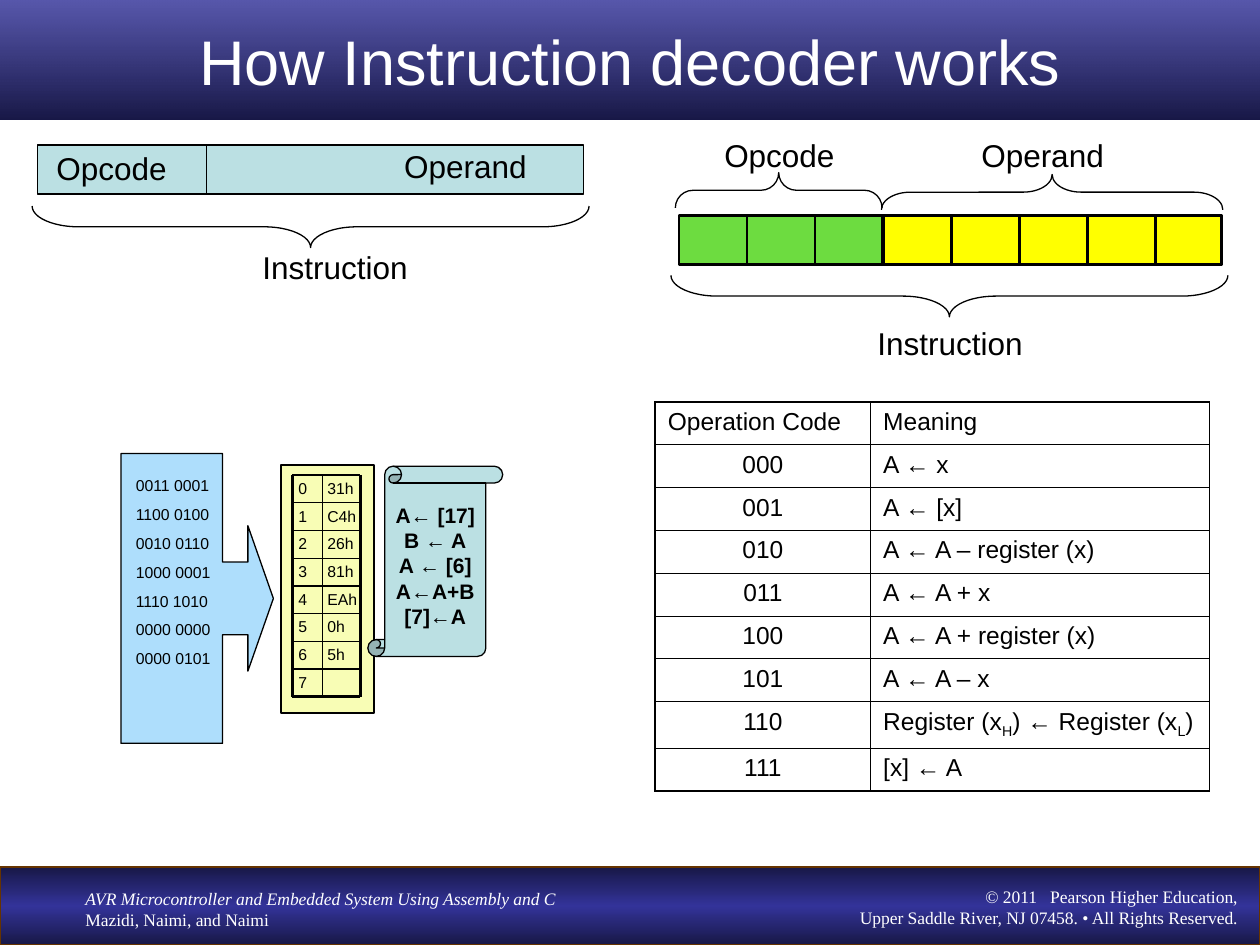
"""Build the slide that explains how an instruction decoder works."""
from lxml import etree
from pptx import Presentation
from pptx import util as u
from pptx.dml.color import RGBColor
from pptx.enum import shapes, text
from pptx.oxml.ns import qn

SHAPE = shapes.MSO_SHAPE
LEFT, CENTER, RIGHT = text.PP_ALIGN.LEFT, text.PP_ALIGN.CENTER, text.PP_ALIGN.RIGHT
MIDDLE = text.MSO_ANCHOR.MIDDLE
BLACK, WHITE = "000000", "FFFFFF"
SERIF = {"name": "Times New Roman"}

TITLE = "How Instruction decoder works"
BOOK = "AVR Microcontroller and Embedded System Using Assembly and C"
AUTHORS = "Mazidi, Naimi, and Naimi"
COPYRIGHT = "© 2011   Pearson Higher Education,\vUpper Saddle River, NJ 07458. • All Rights Reserved."
BAR_STOPS = [(0, "181847", 100), (50, "333399", 100), (100, "181847", 100)]
TITLE_STOPS = [(0, "333399", 82), (100, "181847", 100)]

LABELS = [
    ("Opcode", 0.35, 1.13, 1.24, LEFT),
    ("Operand", 3.11, 1.12, 1.24, LEFT),
    ("Instruction", 1.41, 1.92, 2.5, CENTER),
    ("Opcode", 5.65, 1.03, 1.24, LEFT),
    ("Operand", 7.69, 1.03, 1.24, LEFT),
    ("Instruction", 6.29, 2.52, 2.5, CENTER),
]
BRACES = [
    ((2.3, -0.41, 0.33, 4.42), 270, 1.12),
    ((7.37, 0.14, 0.33, 4.42), 270, 1.12),
    ((6.04, 0.69, 0.28, 1.64), 90, 0.5),
    ((8.21, 0.17, 0.28, 2.71), 90, 0.82),
]
OPERATIONS = [
    ("Operation Code", "Meaning"),
    ("000", "A ← x"),
    ("001", "A ← [x]"),
    ("010", "A ← A – register (x)"),
    ("011", "A ← A + x"),
    ("100", "A ← A + register (x)"),
    ("101", "A ← A – x"),
    ("110", "Register (x_H) ← Register (x_L)"),
    ("111", "[x] ← A"),
]
COLUMN_WIDTHS = (1.71, 2.69)
BINARY = ["0011 0001", "1100 0100", "0010 0110", "1000 0001", "1110 1010", "0000 0000", "0000 0101"]
ADDRESSES = list("01234567")
BYTES = ["31h", "C4h", "26h", "81h", "EAh", "0h", "5h"]
PROGRAM = ["A← [17]", "B ← A", "A ← [6]", "A←A+B", "[7]←A"]


def color(value):
    """Turn a hex string into a colour."""
    return RGBColor.from_string(value)


def inches(values):
    """Turn numbers into lengths."""
    return [u.Inches(value) for value in values]


def apply(target, values):
    """Set each attribute named in a dict."""
    for name, value in values.items():
        setattr(target, name, value)


def write(frame, lines, size, ink=BLACK, align=LEFT, gap=0, fonts=({},), **frame_format):
    """Write lines as paragraphs; an underscore lowers the next character."""
    apply(frame, {"word_wrap": True, **frame_format})
    for index, line in enumerate(lines):
        paragraph = frame.add_paragraph() if index else frame.paragraphs[0]
        paragraph.alignment = align
        if index and gap:
            paragraph.space_before = u.Pt(gap)
        first, *lowered = line.split("_")
        paragraph.text = first
        for part in lowered:
            for piece, base in ((part[0], "-25000"), (part[1:], "0")):
                run = paragraph.add_run()
                run.text = piece
                run.font._element.set("baseline", base)
        for run in paragraph.runs:
            apply(run.font, {"name": "Arial", "size": u.Pt(size), **fonts[index % len(fonts)]})
            run.font.color.rgb = color(ink)


def add_text(slide, box, lines, size, **options):
    """Add a text box."""
    write(slide.shapes.add_textbox(*inches(box)).text_frame, lines, size, **options)


def add_shape(slide, kind, box, fill=None, line=BLACK, width=0.75, adjustments=()):
    """Add a preset shape with a solid fill or none."""
    shape = slide.shapes.add_shape(kind, *inches(box))
    shape.shadow.inherit = False
    for index, value in enumerate(adjustments):
        shape.adjustments[index] = value
    if fill:
        shape.fill.solid()
        shape.fill.fore_color.rgb = color(fill)
    else:
        shape.fill.background()
    if line:
        shape.line.color.rgb = color(line)
        shape.line.width = u.Pt(width)
    else:
        shape.line.fill.background()
    return shape


def add_gradient(shape, stops):
    """Fill a shape from top to bottom with the given stops."""
    shape.fill.gradient()
    shape.fill.gradient_angle = 270
    stop_list = shape._element.spPr.find(".//" + qn("a:gsLst"))
    for old in list(stop_list):
        stop_list.remove(old)
    for position, value, opacity in stops:
        stop = etree.SubElement(stop_list, qn("a:gs"), pos=str(position * 1000))
        tone = etree.SubElement(stop, qn("a:srgbClr"), val=value)
        etree.SubElement(tone, qn("a:alpha"), val=str(opacity * 1000))


def add_line(slide, start, end, width=0.75):
    """Add a straight black line."""
    line = slide.shapes.add_connector(shapes.MSO_CONNECTOR.STRAIGHT, *inches(start + end))
    line.line.color.rgb = color(BLACK)
    line.line.width = u.Pt(width)
    etree.SubElement(line._element.spPr, qn("a:effectLst"))


def make_border(side, width):
    """Make one border of a cell."""
    border = etree.Element(qn("a:" + side), w=str(u.Pt(width)))
    fill = etree.SubElement(border, qn("a:solidFill"))
    etree.SubElement(fill, qn("a:srgbClr"), val=BLACK)
    return border


def add_operations(slide):
    """Add the table of operation codes."""
    last = len(OPERATIONS) - 1
    table = slide.shapes.add_table(last + 1, 2, *inches((5.2, 3.19, 4.4, 3.09))).table
    apply(table, {"first_row": False, "horz_banding": False})
    for column, width in zip(table.columns, COLUMN_WIDTHS):
        column.width = u.Inches(width)
    for r, values in enumerate(OPERATIONS):
        table.rows[r].height = u.Inches(0.37 if "_" in values[1] else 0.34)
        for c, value in enumerate(values):
            cell = table.cell(r, c)
            cell.fill.background()
            write(cell.text_frame, [value], 14, align=CENTER if r and not c else LEFT)
            outer = {"lnL": c == 0, "lnR": c == 1, "lnT": r == 0, "lnB": r == last}
            for index, (side, edge) in enumerate(outer.items()):
                cell._tc.tcPr.insert(index, make_border(side, 1.08 if edge else 0.45))


def add_formats(slide):
    """Add the two instruction formats with their braces and labels."""
    add_shape(slide, SHAPE.RECTANGLE, (0.3, 1.15, 4.33, 0.39), "BBE0E3")
    add_line(slide, (1.64, 1.15), (1.64, 1.53))
    add_shape(slide, SHAPE.RECTANGLE, (7, 1.71, 2.69, 0.39), "FFFF00")
    add_shape(slide, SHAPE.RECTANGLE, (5.39, 1.71, 1.61, 0.39), "6DDC40")
    add_shape(slide, SHAPE.RECTANGLE, (5.39, 1.71, 4.31, 0.39), width=1.5)
    for bit in range(1, 8):
        x = 5.39 + 0.54 * bit
        add_line(slide, (x, 1.71), (x, 2.1), 1.5)
    for box, rotation, curve in BRACES:
        add_shape(slide, SHAPE.LEFT_BRACE, box, adjustments=(curve, 0.5)).rotation = rotation
    for label, left, top, width, align in LABELS:
        add_text(slide, (left, top, width, 0.4), [label], 18, align=align)


def add_memory(slide):
    """Add the binary code, the memory cells and the decoded program."""
    add_shape(slide, SHAPE.RECTANGLE, (2.23, 3.69, 0.74, 1.97), "F8FDB5")
    for row in range(9):
        y = 3.77 + 0.22 * row
        add_line(slide, (2.32, y), (2.86, y), 1.5 if row in (0, 8) else 0.75)
    for x, width in ((2.32, 1.5), (2.56, 0.75), (2.86, 1.5)):
        add_line(slide, (x, 3.77), (x, 5.53), width)
    scroll = add_shape(slide, SHAPE.VERTICAL_SCROLL, (2.92, 3.7, 1.07, 1.51), "BBE0E3", adjustments=(0.125,))
    write(scroll.text_frame, PROGRAM, 12, align=CENTER, fonts=({"bold": True},),
          word_wrap=False, vertical_anchor=MIDDLE)
    add_shape(slide, SHAPE.RIGHT_ARROW_CALLOUT, (0.96, 3.6, 1.21, 2.3), "AEDEFC",
              adjustments=(0.477, 0.477, 0.167, 0.667))
    for lines, left, top, width, gap in ((ADDRESSES, 2.27, 3.75, 0.62, 5), (BYTES, 2.5, 3.75, 0.5, 5),
                                         (BINARY, 0.98, 3.73, 0.85, 5.6)):
        add_text(slide, (left, top, width, 1.85), lines, 9, gap=gap)


def main():
    """Build and save the slide."""
    presentation = Presentation()
    apply(presentation, {"slide_width": u.Inches(10), "slide_height": u.Inches(7.5)})
    slide = presentation.slides.add_slide(presentation.slide_layouts[6])
    add_gradient(add_shape(slide, SHAPE.RECTANGLE, (0, 6.88, 10, 0.62), line="663300"), BAR_STOPS)
    add_text(slide, (0.58, 7, 4.14, 0.44), [BOOK, AUTHORS], 10, ink=WHITE,
             fonts=({**SERIF, "italic": True}, SERIF))
    add_text(slide, (5.75, 6.98, 4.17, 0.44), [COPYRIGHT], 10, ink=WHITE, align=RIGHT, fonts=(SERIF,))
    title = add_shape(slide, SHAPE.RECTANGLE, (0, 0, 10, 0.95), line=None)
    add_gradient(title, TITLE_STOPS)
    write(title.text_frame, [TITLE], 36, ink=WHITE, align=CENTER, vertical_anchor=MIDDLE)
    add_formats(slide)
    add_operations(slide)
    add_memory(slide)
    presentation.save("out.pptx")


if __name__ == "__main__":
    main()
